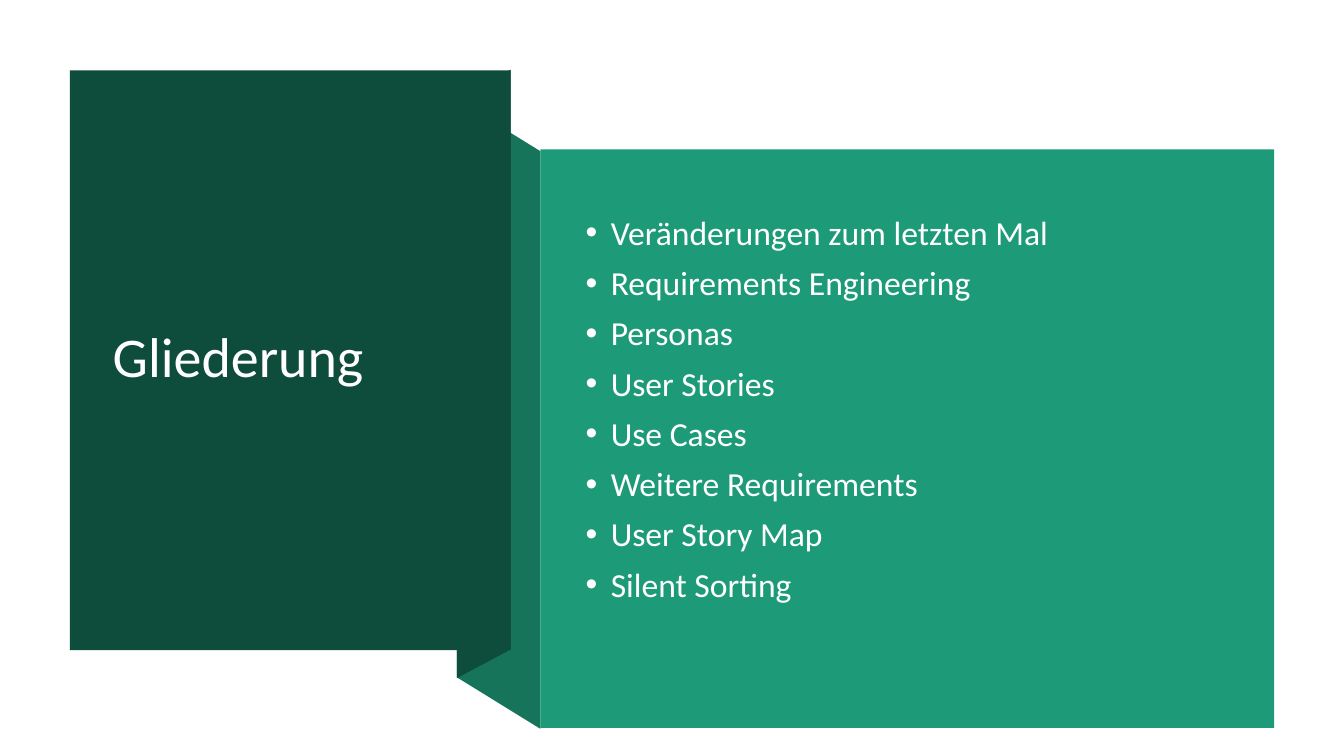
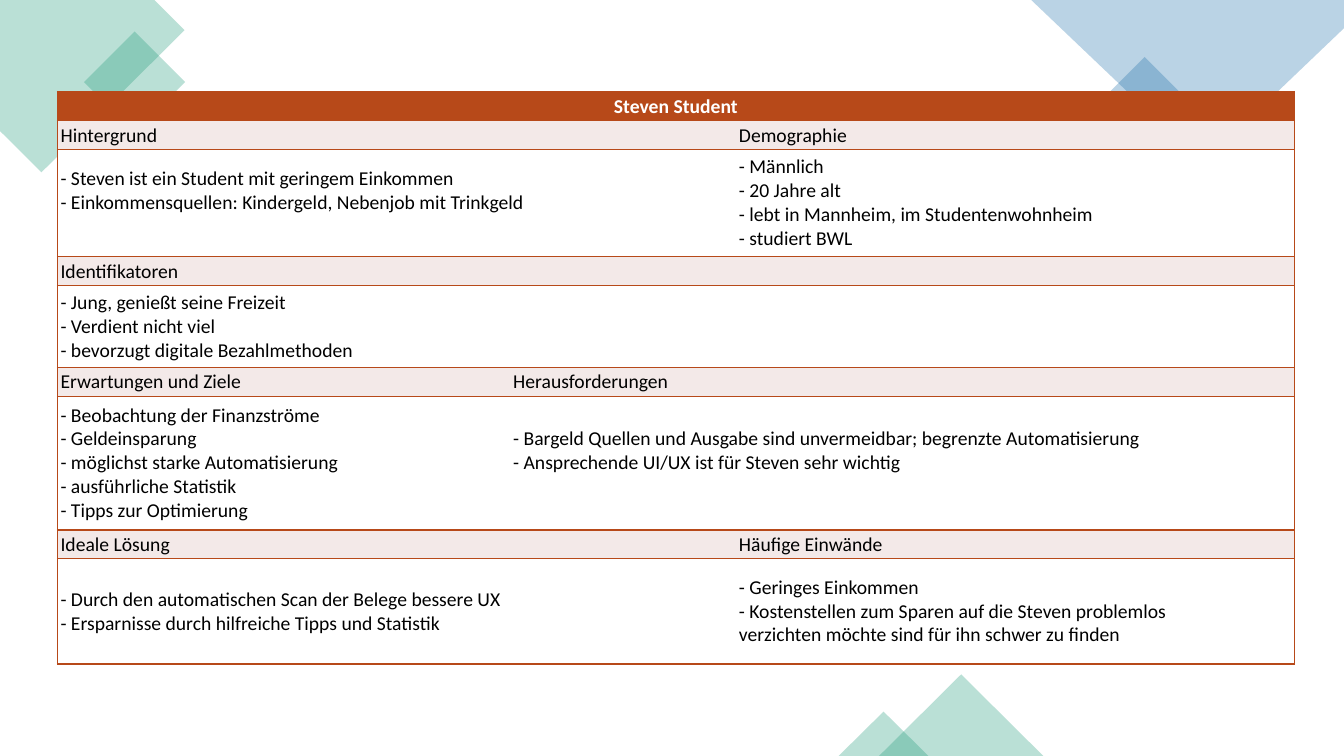
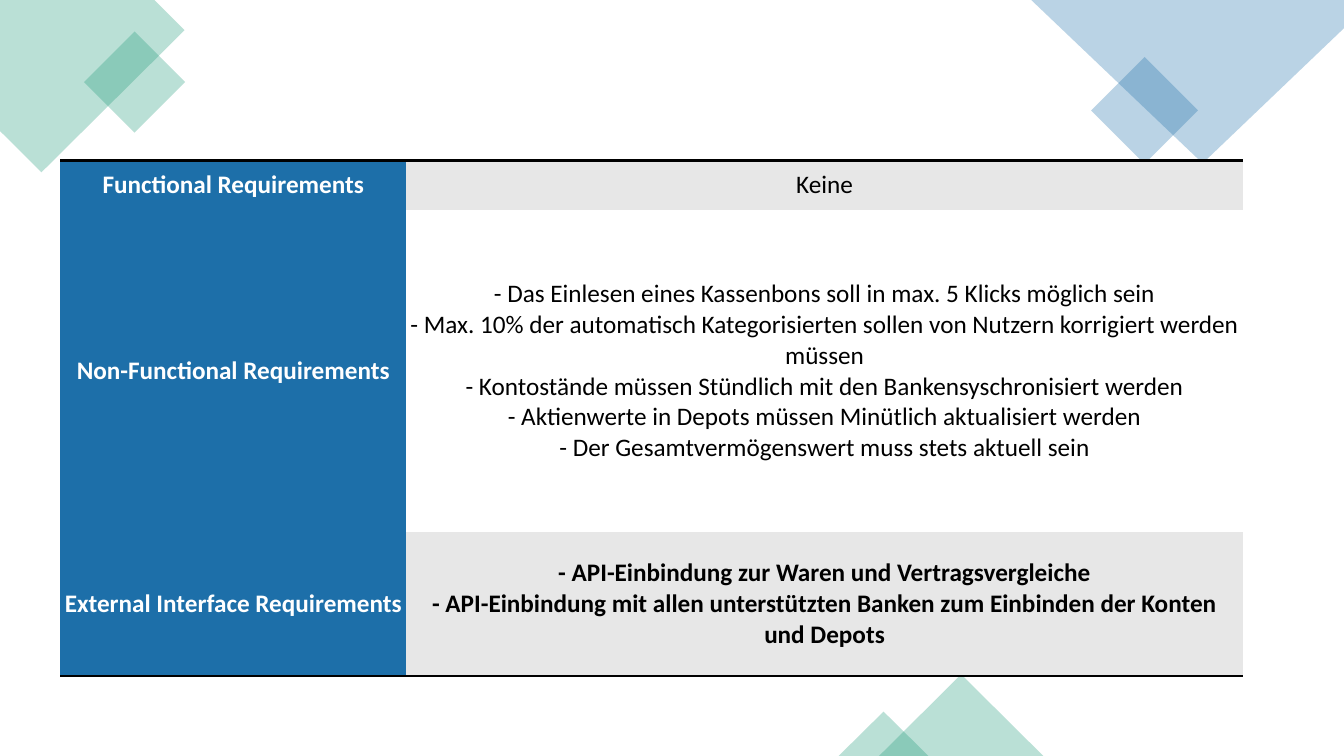
from dataclasses import dataclass

import lxml.etree
import pptx
import pptx.dml.color
import pptx.enum.shapes
import pptx.enum.text
import pptx.oxml.ns
import pptx.presentation
import pptx.shapes.autoshape
import pptx.slide
import pptx.table
import pptx.text.text
import pptx.util

RGB = pptx.dml.color.RGBColor
SHAPE = pptx.enum.shapes.MSO_SHAPE
ALIGN = pptx.enum.text.PP_ALIGN
ANCHOR = pptx.enum.text.MSO_ANCHOR
qn = pptx.oxml.ns.qn

WHITE = RGB(0xFF, 0xFF, 0xFF)
BLACK = RGB(0x00, 0x00, 0x00)
GREEN = RGB(0x1D, 0x9A, 0x78)
FOLD_GREEN = RGB(0x16, 0x74, 0x5A)
DARK_GREEN = RGB(0x0E, 0x4D, 0x3C)
BLUE = RGB(0x1D, 0x6F, 0xA9)
RUST = RGB(0xB7, 0x49, 0x19)
PALE_RUST = RGB(0xF3, 0xE9, 0xE8)
GREY = RGB(0xE7, 0xE7, 0xE7)

FONT = "Calibri"
WIDTH = pptx.util.Inches(13.33)
HEIGHT = pptx.util.Inches(7.5)
SIDES = ("L", "R", "T", "B")


def across(percent: float) -> int:
    return round(WIDTH * percent / 100)


def down(percent: float) -> int:
    return round(HEIGHT * percent / 100)


@dataclass(frozen=True)
class Area:
    left: float
    top: float
    width: float
    height: float

    def lengths(self) -> tuple[int, int, int, int]:
        return across(self.left), down(self.top), across(self.width), down(self.height)


@dataclass(frozen=True)
class Preset:
    kind: SHAPE
    area: Area
    color: RGB
    opacity: int = 100
    rotation: int = 0


@dataclass(frozen=True)
class Outline:
    points: tuple[tuple[float, float], ...]
    color: RGB
    opacity: int = 100


@dataclass(frozen=True)
class Border:
    color: RGB
    width: float


@dataclass(frozen=True)
class CellStyle:
    fill: RGB
    color: RGB = BLACK
    bold: bool = False
    size: int = 14
    align: ALIGN = ALIGN.LEFT
    anchor: ANCHOR = ANCHOR.MIDDLE


@dataclass(frozen=True)
class Entry:
    text: str
    span: int = 1
    raised: bool = False


FOLDS = (
    Outline(((40.2, 96.4), (34, 89.6), (34, 13.2), (40.2, 20)), FOLD_GREEN),
    Outline(((38, 85.9), (34, 89.7), (34, 13.1), (38, 9.2)), DARK_GREEN),
)
PANELS = (
    Preset(SHAPE.RECTANGLE, Area(5.2, 9.33, 32.8, 76.67), DARK_GREEN),
    Preset(SHAPE.RECTANGLE, Area(40.2, 19.75, 54.6, 76.55), GREEN),
)
DECORATION = (
    Outline(((11.48, 0), (0, 0), (0, 17.33), (3.08, 22.8), (13.73, 4)), GREEN, 30),
    Preset(SHAPE.RECTANGLE, Area(7.35, 6.13, 5.33, 9.47), GREEN, 30, 315),
    Preset(SHAPE.RECTANGLE, Area(82.35, 9.6, 5.63, 10), BLUE, 30, 315),
    Outline(((100, 0), (76.73, 0), (89.48, 21.6), (100, 3.73)), BLUE, 30),
    Preset(SHAPE.ISOSCELES_TRIANGLE, Area(65.4, 89.2, 12.23, 10.8), GREEN, 30),
    Preset(SHAPE.ISOSCELES_TRIANGLE, Area(62.4, 94.13, 6.68, 5.87), GREEN, 30),
)

TOPICS = (
    "Veränderungen zum letzten Mal",
    "Requirements Engineering",
    "Personas",
    "User Stories",
    "Use Cases",
    "Weitere Requirements",
    "User Story Map",
    "Silent Sorting",
)

PERSONA_COLUMNS = (33.68, 16.8, 41.55)
PERSONA_ROWS = (3.83, 3.83, 14.2, 3.83, 10.8, 3.83, 17.7, 3.83, 13.9)
PERSONA = (
    (Entry("Steven Student", 3),),
    (Entry("Hintergrund", 2), Entry("Demographie")),
    (
        Entry(
            "- Steven ist ein Student mit geringem Einkommen\n"
            "- Einkommensquellen: Kindergeld, Nebenjob mit Trinkgeld",
            2, raised=True,
        ),
        Entry(
            "- Männlich\n- 20 Jahre alt\n"
            "- lebt in Mannheim, im Studentenwohnheim\n- studiert BWL"
        ),
    ),
    (Entry("Identifikatoren", 3),),
    (
        Entry(
            "- Jung, genießt seine Freizeit\n- Verdient nicht viel\n"
            "- bevorzugt digitale Bezahlmethoden",
            3,
        ),
    ),
    (Entry("Erwartungen und Ziele"), Entry("Herausforderungen", 2)),
    (
        Entry(
            "- Beobachtung der Finanzströme\n- Geldeinsparung\n"
            "- möglichst starke Automatisierung\n- ausführliche Statistik\n"
            "- Tipps zur Optimierung"
        ),
        Entry(
            "- Bargeld Quellen und Ausgabe sind unvermeidbar; begrenzte Automatisierung\n"
            "- Ansprechende UI/UX ist für Steven sehr wichtig",
            2, raised=True,
        ),
    ),
    (Entry("Ideale Lösung", 2), Entry("Häufige Einwände")),
    (
        Entry(
            "- Durch den automatischen Scan der Belege bessere UX\n"
            "- Ersparnisse durch hilfreiche Tipps und Statistik",
            2,
        ),
        Entry(
            "- Geringes Einkommen\n"
            "- Kostenstellen zum Sparen auf die Steven problemlos\n"
            "verzichten möchte sind für ihn schwer zu finden"
        ),
    ),
)
PERSONA_HEADER = CellStyle(RUST, WHITE, True, align=ALIGN.CENTER, anchor=ANCHOR.BOTTOM)
PERSONA_HEADING = CellStyle(PALE_RUST, anchor=ANCHOR.BOTTOM)
PERSONA_BODY = CellStyle(WHITE)

REQUIREMENT_COLUMNS = (25.73, 62.25)
REQUIREMENT_ROWS = (6.6, 42.6, 19)
REQUIREMENTS = (
    ("Functional Requirements", "Keine"),
    (
        "Non-Functional Requirements",
        "- Das Einlesen eines Kassenbons soll in max. 5 Klicks möglich sein\n"
        "- Max. 10% der automatisch Kategorisierten sollen von Nutzern korrigiert werden müssen\n"
        "- Kontostände müssen Stündlich mit den Bankensyschronisiert werden\n"
        "- Aktienwerte in Depots müssen Minütlich aktualisiert werden\n"
        "- Der Gesamtvermögenswert muss stets aktuell sein",
    ),
    (
        "External Interface Requirements",
        "- API-Einbindung zur Waren und Vertragsvergleiche\n"
        "- API-Einbindung mit allen unterstützten Banken zum Einbinden der Konten und Depots",
    ),
)


def paint(shape: pptx.shapes.autoshape.Shape, color: RGB, opacity: int) -> None:
    shape.shadow.inherit = False
    shape.line.fill.background()
    shape.fill.solid()
    shape.fill.fore_color.rgb = color
    if opacity < 100:
        tint = shape.element.find(".//" + qn("a:srgbClr"))
        lxml.etree.SubElement(tint, qn("a:alpha"), val=str(opacity * 1000))


def draw_preset(page: pptx.slide.Slide, preset: Preset) -> None:
    shape = page.shapes.add_shape(preset.kind, *preset.area.lengths())
    shape.rotation = preset.rotation
    paint(shape, preset.color, preset.opacity)


def draw_outline(page: pptx.slide.Slide, outline: Outline) -> None:
    points = [(across(x), down(y)) for x, y in outline.points]
    builder = page.shapes.build_freeform(*points[0])
    builder.add_line_segments(points[1:], close=True)
    paint(builder.convert_to_shape(), outline.color, outline.opacity)


def decorate(page: pptx.slide.Slide) -> None:
    for item in DECORATION:
        if isinstance(item, Outline):
            draw_outline(page, item)
        else:
            draw_preset(page, item)


def format_spans(paragraph, size: int, color: RGB, bold: bool = False) -> None:
    for span in paragraph.runs:
        span.font.name = FONT
        span.font.size = pptx.util.Pt(size)
        span.font.bold = bold
        span.font.color.rgb = color


def add_text(page: pptx.slide.Slide, area: Area, text: str, size: int) -> pptx.text.text.TextFrame:
    frame = page.shapes.add_textbox(*area.lengths()).text_frame
    frame.word_wrap = True
    frame.vertical_anchor = ANCHOR.MIDDLE
    frame.text = text
    for paragraph in frame.paragraphs:
        paragraph.line_spacing = 0.9
        format_spans(paragraph, size, WHITE)
    return frame


def add_bullets(frame: pptx.text.text.TextFrame) -> None:
    indent = pptx.util.Inches(0.25)
    for index, paragraph in enumerate(frame.paragraphs):
        if index:
            paragraph.space_before = pptx.util.Pt(10)
        properties = paragraph._p.get_or_add_pPr()
        properties.set("marL", str(indent))
        properties.set("indent", str(-indent))
        lxml.etree.SubElement(properties, qn("a:buFont"), typeface="Arial")
        lxml.etree.SubElement(properties, qn("a:buChar"), char="•")


def add_table(
    page: pptx.slide.Slide,
    left: float,
    top: float,
    columns: tuple[float, ...],
    rows: tuple[float, ...],
) -> pptx.table.Table:
    area = Area(left, top, sum(columns), sum(rows))
    table = page.shapes.add_table(len(rows), len(columns), *area.lengths()).table
    table.first_row = False
    table.horz_banding = False
    for column, width in zip(table.columns, columns):
        column.width = across(width)
    for row, height in zip(table.rows, rows):
        row.height = down(height)
    return table


def set_borders(cell, sides: str, border: Border) -> None:
    properties = cell._tc.get_or_add_tcPr()
    for index, side in enumerate(SIDES):
        line = lxml.etree.Element(qn("a:ln" + side))
        if side in sides:
            line.set("w", str(pptx.util.Pt(border.width)))
            solid = lxml.etree.SubElement(line, qn("a:solidFill"))
            lxml.etree.SubElement(solid, qn("a:srgbClr"), val=str(border.color))
        else:
            lxml.etree.SubElement(line, qn("a:noFill"))
        properties.insert(index, line)


def fill_cell(cell, text: str, style: CellStyle) -> None:
    cell.fill.solid()
    cell.fill.fore_color.rgb = style.fill
    cell.vertical_anchor = style.anchor
    cell.margin_left = cell.margin_right = pptx.util.Inches(0.03)
    cell.margin_top = cell.margin_bottom = pptx.util.Inches(0.02)
    cell.text_frame.text = text
    for paragraph in cell.text_frame.paragraphs:
        paragraph.alignment = style.align
        format_spans(paragraph, style.size, style.color, style.bold)


def build_outline_slide(page: pptx.slide.Slide) -> None:
    for fold in FOLDS:
        draw_outline(page, fold)
    for panel in PANELS:
        draw_preset(page, panel)
    add_text(page, Area(7.65, 14.27, 27.83, 66.53), "Gliederung", 40)
    add_bullets(add_text(page, Area(42.83, 25.07, 48.83, 58.4), "\n".join(TOPICS), 24))


def build_persona_slide(page: pptx.slide.Slide) -> None:
    decorate(page)
    table = add_table(page, 4.28, 12.1, PERSONA_COLUMNS, PERSONA_ROWS)
    border = Border(RUST, 1)
    last = len(PERSONA_COLUMNS)
    for row, entries in enumerate(PERSONA):
        if row == 0:
            style = PERSONA_HEADER
        else:
            style = PERSONA_HEADING if row % 2 else PERSONA_BODY
        start = 0
        for entry in entries:
            end = start + entry.span
            cell = table.cell(row, start)
            if entry.span > 1:
                cell.merge(table.cell(row, end - 1))
            fill_cell(cell, entry.text, style)
            if entry.raised:
                cell.margin_bottom = pptx.util.Inches(0.26)
            sides = "TB" + ("L" if start == 0 else "") + ("R" if end == last else "")
            for column in range(start, end):
                set_borders(table.cell(row, column), sides, border)
            start = end


def build_requirements_slide(page: pptx.slide.Slide) -> None:
    decorate(page)
    table = add_table(page, 4.5, 21.2, REQUIREMENT_COLUMNS, REQUIREMENT_ROWS)
    border = Border(BLACK, 2)
    last = len(REQUIREMENTS) - 1
    for row, texts in enumerate(REQUIREMENTS):
        label = CellStyle(BLUE, WHITE, True, 18, ALIGN.CENTER)
        detail = CellStyle(WHITE if row % 2 else GREY, BLACK, row == last, 18, ALIGN.CENTER)
        sides = ("T" if row == 0 else "") + ("B" if row == last else "")
        for column, (text, style) in enumerate(zip(texts, (label, detail))):
            cell = table.cell(row, column)
            fill_cell(cell, text, style)
            set_borders(cell, sides, border)


def main() -> None:
    deck = pptx.Presentation()
    deck.slide_width = WIDTH
    deck.slide_height = HEIGHT
    blank = deck.slide_layouts[6]
    for build in (build_outline_slide, build_persona_slide, build_requirements_slide):
        build(deck.slides.add_slide(blank))
    deck.save("out.pptx")


if __name__ == "__main__":
    main()
